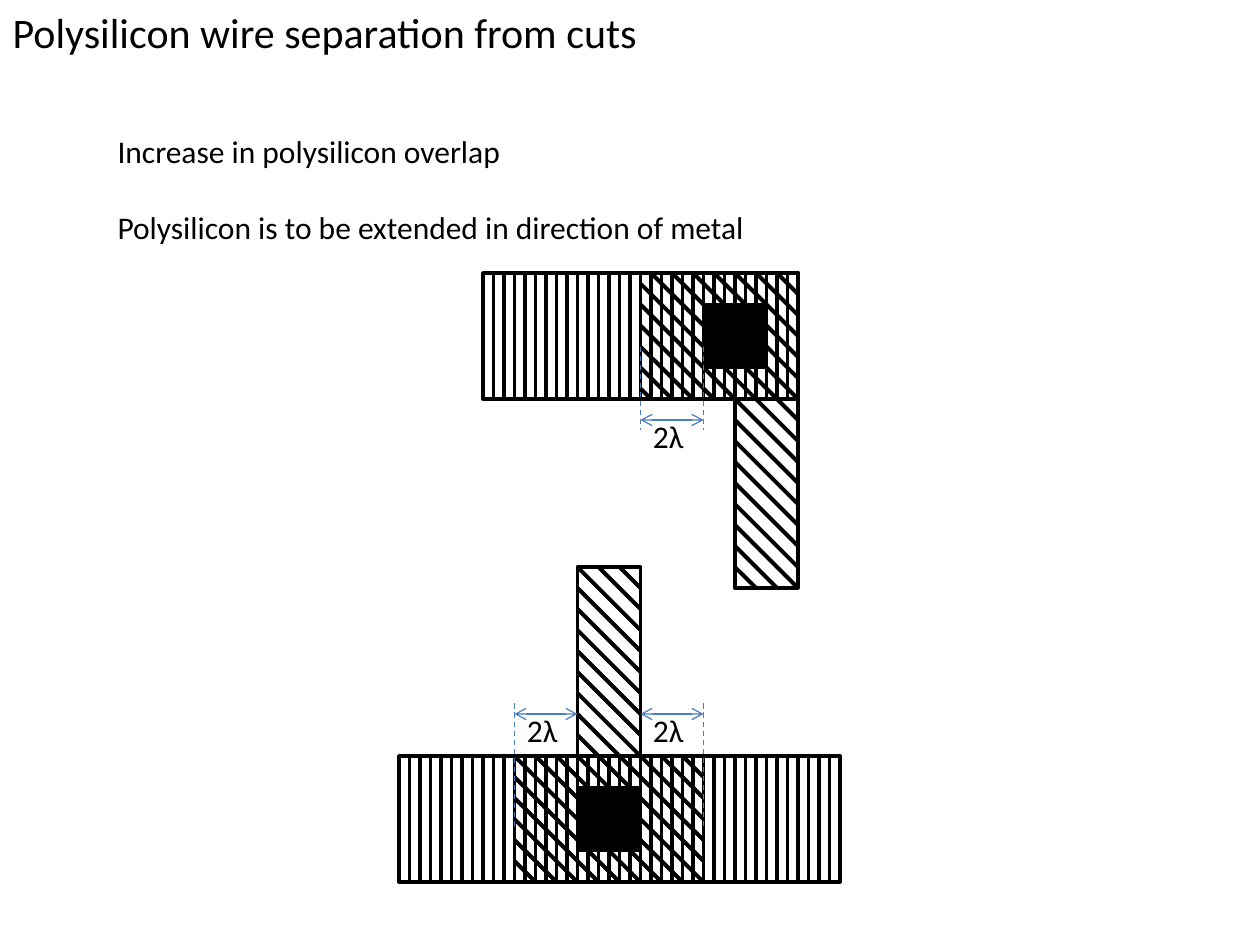
from lxml import etree
from pptx import Presentation
from pptx.dml.color import RGBColor
from pptx.enum.dml import MSO_LINE
from pptx.enum.shapes import MSO_CONNECTOR, MSO_SHAPE
from pptx.enum.text import MSO_ANCHOR, MSO_AUTO_SIZE, PP_ALIGN
from pptx.oxml.ns import qn
from pptx.util import Cm, Pt

RECTANGLE = MSO_SHAPE.RECTANGLE
STRAIGHT = MSO_CONNECTOR.STRAIGHT
DASH = MSO_LINE.DASH
TOP = MSO_ANCHOR.TOP
LEFT = PP_ALIGN.LEFT
NO_AUTOFIT = MSO_AUTO_SIZE.NONE

COLORS = {"ink": "000000", "dimension": "4B7EBC"}
FONT = "Calibri"
GRID = 2.54 / 12
TITLE_LAYOUT = 5


def color(name):
    return RGBColor.from_string(COLORS[name])


def grid(steps):
    return Cm(steps * GRID)


def add_line(shapes, start, end, ink="ink", width=2.25, dashed=False, arrows=False):
    line = shapes.add_connector(STRAIGHT, *map(grid, (*start, *end)))
    line.line.color.rgb = color(ink)
    line.line.width = Pt(width)
    if dashed:
        line.line.dash_style = DASH
    properties = line.element.spPr
    if arrows:
        outline = properties.find(qn("a:ln"))
        for arrow_end in ("a:headEnd", "a:tailEnd"):
            etree.SubElement(outline, qn(arrow_end), type="arrow")
    etree.SubElement(properties, qn("a:effectLst"))


def add_block(shapes, left, top, width, height, filled=False):
    block = shapes.add_shape(RECTANGLE, *map(grid, (left, top, width, height)))
    block.shadow.inherit = False
    if filled:
        block.fill.solid()
        block.fill.fore_color.rgb = color("ink")
    else:
        block.fill.background()
    block.line.color.rgb = color("ink")
    block.line.width = Pt(2)


def write(paragraph, text, size):
    run = paragraph.add_run()
    run.text = text
    run.font.name = FONT
    run.font.size = Pt(size)
    run.font.color.rgb = color("ink")


def add_text(shapes, box, lines, gap=0):
    frame = shapes.add_textbox(*box).text_frame
    frame.word_wrap = True
    for index, text in enumerate(lines):
        paragraph = frame.add_paragraph() if index else frame.paragraphs[0]
        if index:
            paragraph.space_before = Pt(gap)
        write(paragraph, text, 18)


def place_title(slide, box, text):
    title = slide.shapes.title
    title.left, title.top, title.width, title.height = box
    frame = title.text_frame
    frame.auto_size = NO_AUTOFIT
    frame.vertical_anchor = TOP
    frame.paragraphs[0].alignment = LEFT
    write(frame.paragraphs[0], text, 24)


def draw_metal(shapes, left, top, width, height):
    add_block(shapes, left, top, width, height)
    for x in range(left + 1, left + width):
        add_line(shapes, (x, top), (x, top + height))


def diagonal_spans(areas, offset):
    spans = []
    for left, top, width, height in areas:
        start = max(left, top + offset)
        end = min(left + width, top + height + offset)
        if start < end:
            spans.append((start, end))
    spans.sort()
    if len(spans) == 2 and spans[1][0] <= spans[0][1]:
        return [(spans[0][0], max(spans[0][1], spans[1][1]))]
    return spans


def draw_polysilicon(shapes, wire, overlap):
    areas = (wire, overlap)
    first = min(left - top - height for left, top, width, height in areas)
    last = max(left + width - top for left, top, width, height in areas)
    add_block(shapes, *wire)
    for offset in range(first + 2, last, 2):
        for start, end in diagonal_spans(areas, offset):
            add_line(shapes, (start, start - offset), (end, end - offset))


def draw_contact(slide, box, metal, wire, overlap, cut, dimensions, guides, guide_span):
    left, top = box

    def placed(area):
        return left + area[0], top + area[1], area[2], area[3]

    draw_metal(slide.shapes.add_group_shape().shapes, *placed(metal))
    draw_polysilicon(slide.shapes.add_group_shape().shapes, placed(wire), placed(overlap))
    add_block(slide.shapes, *placed(cut), filled=True)
    level = top + 14
    for x in guides:
        add_line(slide.shapes, (left + x, top + guide_span[0]), (left + x, top + guide_span[1]),
                 "dimension", 0.75, dashed=True)
    for x in dimensions:
        add_line(slide.shapes, (left + x + 6, level), (left + x, level),
                 "dimension", 0.75, arrows=True)
        label_box = (grid(left + x), grid(level - 0.9), Cm(1.27), Cm(1.02))
        add_text(slide.shapes, label_box, ["2λ"])


def main():
    deck = Presentation()
    deck.slide_width, deck.slide_height = Cm(25.4), Cm(19.05)
    slide = deck.slides.add_slide(deck.slide_layouts[TITLE_LAYOUT])
    place_title(slide, (Cm(0), Cm(0), Cm(14.81), Cm(1.27)),
                "Polysilicon wire separation from cuts")
    add_text(slide.shapes, (Cm(2.12), Cm(2.54), Cm(17.98), Cm(2.57)),
             ["Increase in polysilicon overlap",
              "Polysilicon is to be extended in direction of metal"], gap=22)
    draw_contact(slide, (46, 26), metal=(0, 0, 30, 12), wire=(24, 0, 6, 30),
                 overlap=(15, 0, 15, 12), cut=(21, 3, 6, 6),
                 dimensions=(15,), guides=(15, 21), guide_span=(7, 15))
    draw_contact(slide, (38, 54), metal=(0, 18, 42, 12), wire=(17, 0, 6, 30),
                 overlap=(11, 18, 18, 12), cut=(17, 21, 6, 6),
                 dimensions=(11, 23), guides=(11, 29), guide_span=(13, 25))
    deck.save("out.pptx")


if __name__ == "__main__":
    main()
